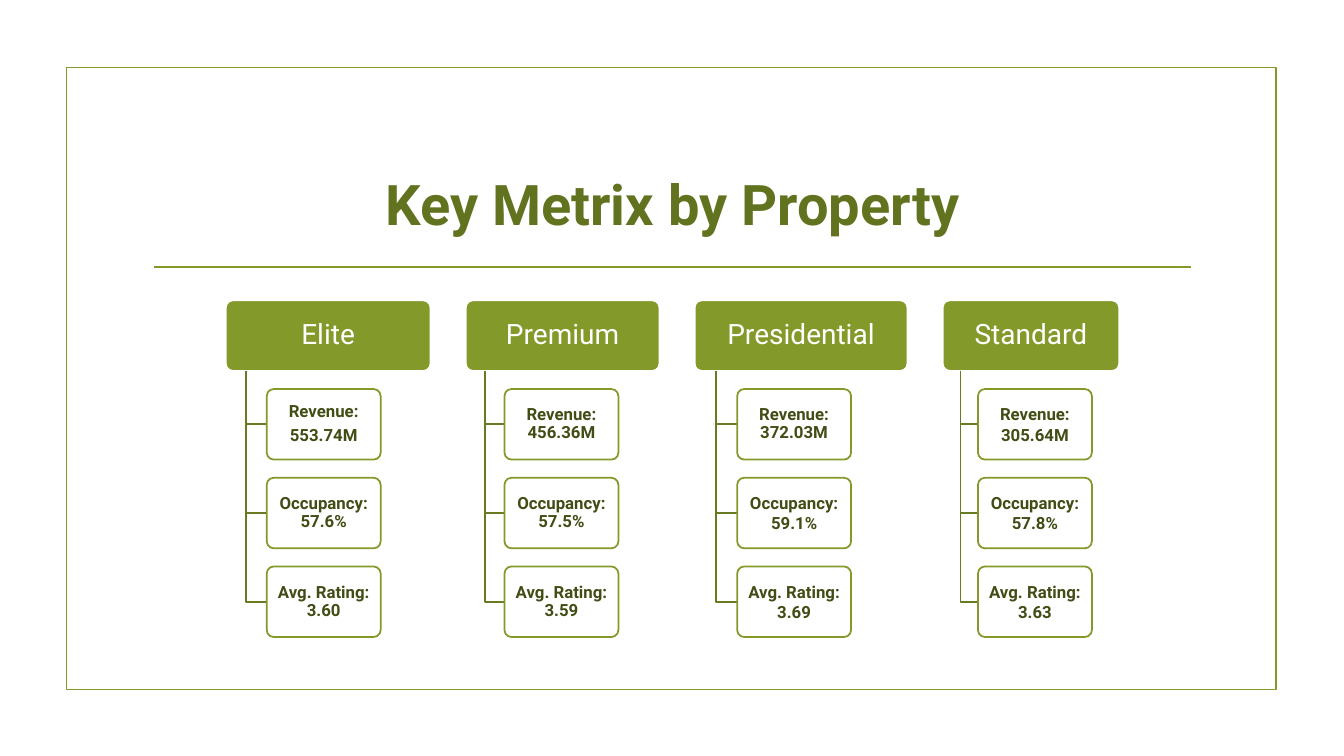
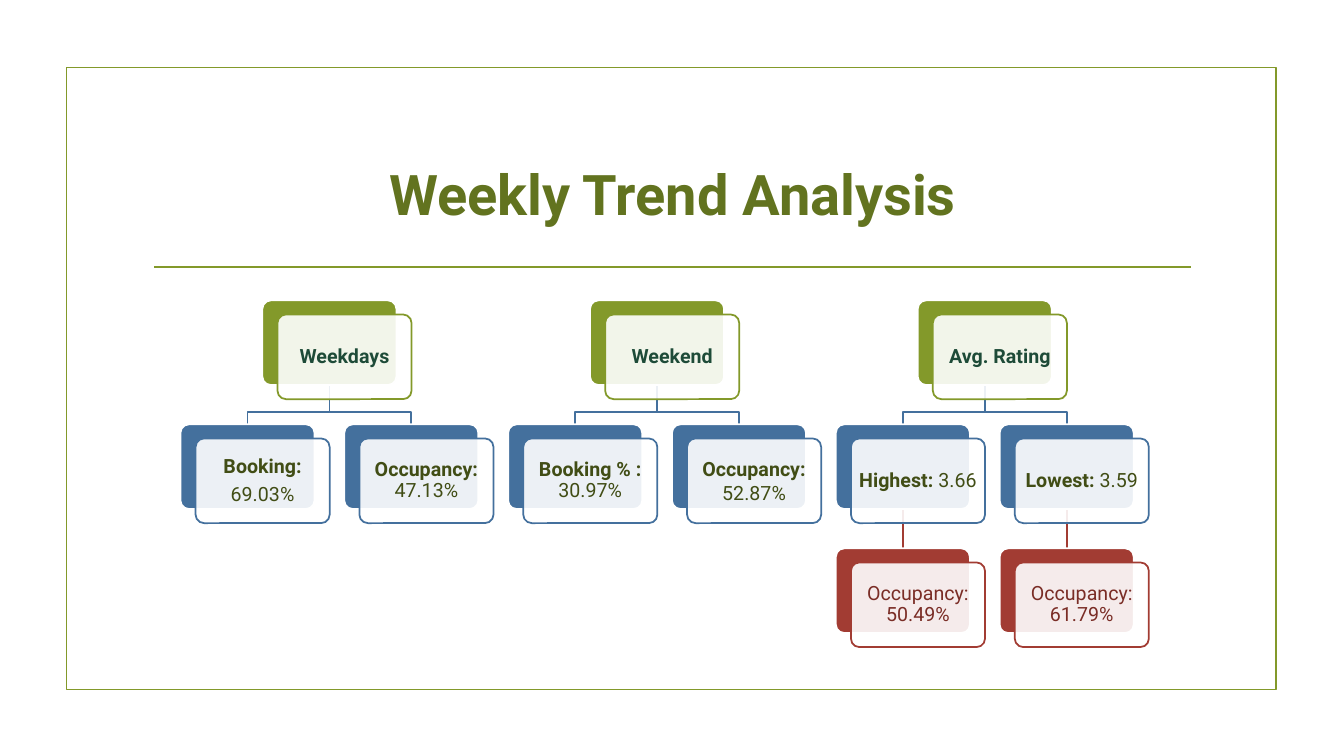
from lxml import etree
from pptx import Presentation
from pptx import util as u
from pptx.dml.color import RGBColor
from pptx.enum import shapes, text
from pptx.oxml import ns

WHITE = RGBColor(0xFF, 0xFF, 0xFF)
OLIVE = RGBColor(0x83, 0x99, 0x2A)
TITLE_OLIVE = RGBColor(0x62, 0x73, 0x1F)
BRANCH_OLIVE = RGBColor(0x69, 0x7B, 0x22)
DARK_OLIVE = RGBColor(0x41, 0x4D, 0x15)
FOREST = RGBColor(0x1E, 0x4B, 0x38)
BLUE = RGBColor(0x44, 0x70, 0x9D)
RED = RGBColor(0xA2, 0x3C, 0x33)
DARK_RED = RGBColor(0x7A, 0x2D, 0x26)

FONT = "Roboto"
LINE_WIDTH = u.Pt(1.25)
TIGHT, SINGLE = 0.9, 1.0

METRIC_HEIGHT, METRIC_WIDTH, METRIC_STEP = 0.7, 1.13, 0.88
PROPERTY_GAP = 0.35
PROPERTIES = [
    ("Elite", 2.03, [("Revenue:", "553.74M", TIGHT, True),
                     ("Occupancy:", "57.6%", TIGHT, False),
                     ("Avg. Rating:", "3.60", TIGHT, False)]),
    ("Premium", 1.92, [("Revenue:", "456.36M", TIGHT, False),
                       ("Occupancy:", "57.5%", TIGHT, False),
                       ("Avg. Rating:", "3.59", TIGHT, False)]),
    ("Presidential", 2.11, [("Revenue:", "372.03M", TIGHT, False),
                            ("Occupancy:", "59.1%", SINGLE, False),
                            ("Avg. Rating:", "3.69", SINGLE, False)]),
    ("Standard", 1.75, [("Revenue:", "305.64M", SINGLE, False),
                        ("Occupancy:", "57.8%", SINGLE, False),
                        ("Avg. Rating:", "3.63", SINGLE, False)]),
]

NODE_WIDTH, NODE_HEIGHT = 1.33, 0.84
LEVEL_STEP, TREND_PITCH = 1.23, 3.25
TRENDS = [
    ("Weekdays", [("Booking:", "69.03%", TIGHT, True, None),
                  ("Occupancy:", "47.13%", TIGHT, False, None)]),
    ("Weekend", [("Booking % :", "30.97%", TIGHT, False, None),
                 ("Occupancy:", "52.87%", SINGLE, False, None)]),
    ("Avg. Rating", [("Highest:", "3.66", TIGHT, False, "50.49%"),
                     ("Lowest:", "3.59", TIGHT, False, "61.79%")]),
]


def style_line(line, color):
    line.color.rgb = color
    line.width = LINE_WIDTH


def add_box(slide, kind, left, top, width, height, fill, outline):
    box = slide.shapes.add_shape(kind, *map(u.Inches, (left, top, width, height)))
    box.shadow.inherit = False
    if fill is None:
        box.fill.background()
    else:
        box.fill.solid()
        box.fill.fore_color.rgb = fill
    style_line(box.line, outline)
    return box


def add_card(slide, left, top, width, height, fill, outline):
    card = add_box(slide, shapes.MSO_SHAPE.ROUNDED_RECTANGLE,
                   left, top, width, height, fill, outline)
    card.adjustments[0] = 0.1
    return card


def make_translucent(card):
    color = card.element.spPr.find(ns.qn("a:solidFill")).find(ns.qn("a:srgbClr"))
    etree.SubElement(color, ns.qn("a:alpha")).set("val", "90000")


def add_straight(slide, start, end, color):
    line = slide.shapes.add_connector(shapes.MSO_CONNECTOR.STRAIGHT,
                                      *map(u.Inches, (*start, *end)))
    style_line(line.line, color)
    etree.SubElement(line.element.spPr, ns.qn("a:effectLst"))
    return line


def add_bent(slide, points, color):
    start, *rest = [(u.Inches(x), u.Inches(y)) for x, y in points]
    builder = slide.shapes.build_freeform(*start)
    builder.add_line_segments(rest, close=False)
    branch = builder.convert_to_shape()
    branch.shadow.inherit = False
    branch.fill.background()
    style_line(branch.line, color)


def write(card, label, value, size, color, bold, inset,
          spacing=TIGHT, stacked=False):
    frame = card.text_frame
    frame.word_wrap = True
    frame.vertical_anchor = text.MSO_ANCHOR.MIDDLE
    frame.margin_left = frame.margin_right = u.Inches(inset[0])
    frame.margin_top = frame.margin_bottom = u.Inches(inset[1])
    frame.text = label
    first = frame.paragraphs[0]
    if stacked:
        frame.add_paragraph().text = value
        first.space_after = u.Pt(round(0.35 * size, 1))
    elif value:
        first.add_run().text = " " + value
    runs = []
    for paragraph in frame.paragraphs:
        paragraph.alignment = text.PP_ALIGN.CENTER
        paragraph.line_spacing = spacing
        runs.extend(paragraph.runs)
    for run, weight in zip(runs, bold):
        run.font.name = FONT
        run.font.size = u.Pt(size)
        run.font.bold = weight
        run.font.color.rgb = color


def add_titled_slide(deck, heading, title_top):
    slide = deck.slides.add_slide(deck.slide_layouts[5])
    add_box(slide, shapes.MSO_SHAPE.RECTANGLE, 0.66, 0.67, 12, 6.17, None, OLIVE)
    add_straight(slide, (1.53, 2.65), (11.81, 2.65), OLIVE)
    title = slide.shapes.title
    title.left, title.top, title.width, title.height = map(
        u.Inches, (1.42, title_top, 10.5, 1.43))
    write(title, heading, "", 40, TITLE_OLIVE, [True], (0.1, 0.05), SINGLE)
    return slide


def add_property(slide, left, top, width, name, metrics):
    header = add_card(slide, left, top, width, METRIC_HEIGHT, OLIVE, WHITE)
    write(header, name, "", 20, WHITE, [False], (0.04, 0.03))
    stem, metric_left = left + 0.1 * width, left + 0.2 * width
    for row, (label, value, spacing, stacked) in enumerate(metrics, 1):
        metric_top = top + row * METRIC_STEP
        middle = metric_top + METRIC_HEIGHT / 2
        add_bent(slide, [(stem, top + METRIC_HEIGHT), (stem, middle),
                         (metric_left, middle)], BRANCH_OLIVE)
        metric = add_card(slide, metric_left, metric_top,
                          METRIC_WIDTH, METRIC_HEIGHT, WHITE, OLIVE)
        make_translucent(metric)
        write(metric, label, value, 12, DARK_OLIVE, [True, True],
              (0.03, 0.02), spacing, stacked)


def add_node(slide, left, top, accent, label, value, color, bold,
             spacing=TIGHT, stacked=False):
    back = add_card(slide, left, top, NODE_WIDTH, NODE_HEIGHT, accent, WHITE)
    front = add_card(slide, left + 0.15, top + 0.14,
                     NODE_WIDTH, NODE_HEIGHT, WHITE, accent)
    make_translucent(front)
    write(front, label, value, 14, color, bold, (0.05, 0.06), spacing, stacked)
    return back


def add_trend(slide, left, top, name, measures):
    pitch = TREND_PITCH / 2
    half = NODE_WIDTH / 2
    root_left = left + pitch / 2
    root_center = root_left + half
    measure_top, detail_top = top + LEVEL_STEP, top + 2 * LEVEL_STEP
    lefts = [left + index * pitch for index in range(len(measures))]
    for measure_left in lefts:
        center = measure_left + half
        elbow = measure_top - 0.12
        add_bent(slide, [(root_center, top + NODE_HEIGHT), (root_center, elbow),
                         (center, elbow), (center, measure_top)], BLUE)
    add_node(slide, root_left, top, OLIVE, name, "", FOREST, [True])
    for measure_left, measure in zip(lefts, measures):
        label, value, spacing, stacked, occupancy = measure
        center = measure_left + half
        if occupancy:
            drop = add_straight(slide, (center, measure_top + NODE_HEIGHT),
                                (center, detail_top), RED)
        parent = add_node(slide, measure_left, measure_top, BLUE, label, value,
                          DARK_OLIVE, [True, False], spacing, stacked)
        if occupancy:
            detail = add_node(slide, measure_left, detail_top, RED, "Occupancy:",
                              occupancy, DARK_RED, [False, False])
            drop.begin_connect(parent, 2)
            drop.end_connect(detail, 0)


def build_property_slide(deck):
    slide = add_titled_slide(deck, "Key Metrix by Property", 1.3)
    left = 2.24
    for name, width, metrics in PROPERTIES:
        add_property(slide, left, 2.98, width, name, metrics)
        left += width + PROPERTY_GAP


def build_trend_slide(deck):
    slide = add_titled_slide(deck, "Weekly Trend Analysis", 1.2)
    for index, (name, measures) in enumerate(TRENDS):
        add_trend(slide, 1.79 + index * TREND_PITCH, 2.98, name, measures)


def main():
    deck = Presentation()
    deck.slide_width, deck.slide_height = u.Inches(13.33), u.Inches(7.5)
    build_property_slide(deck)
    build_trend_slide(deck)
    deck.save("out.pptx")


if __name__ == "__main__":
    main()
